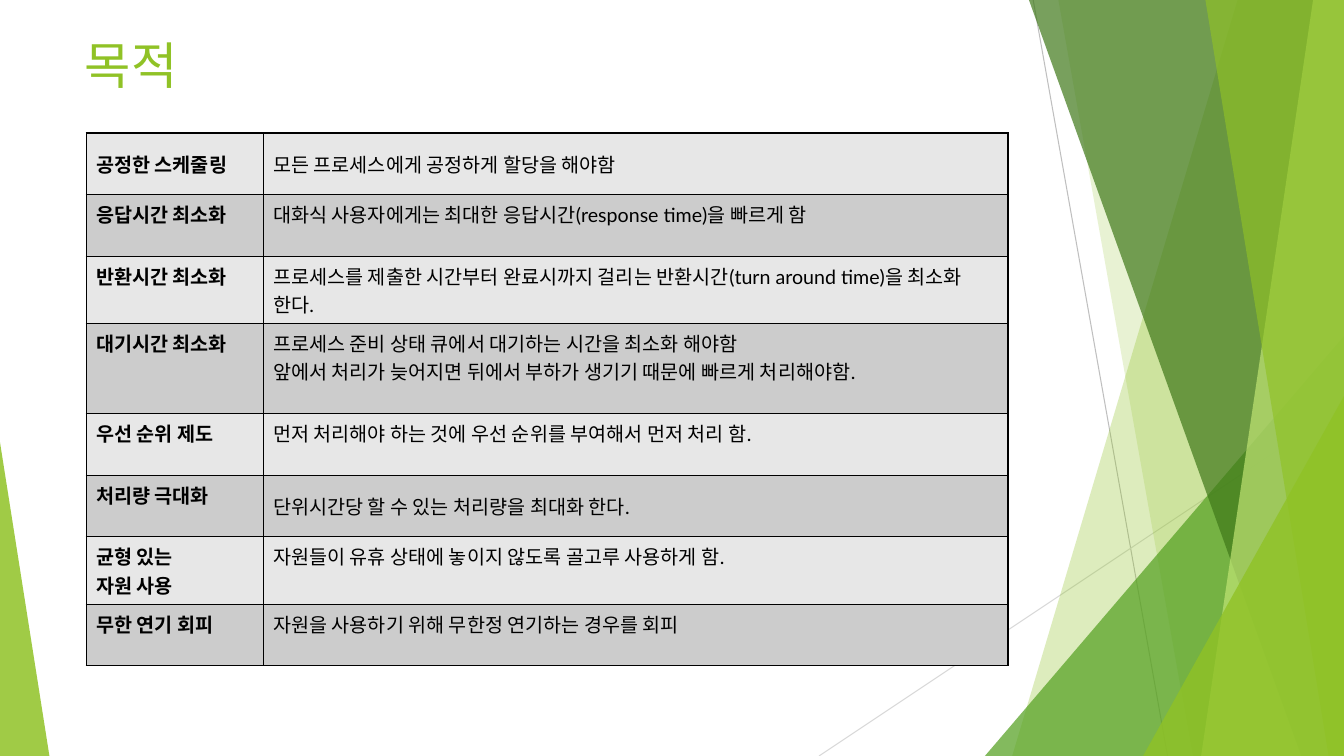
from pptx import Presentation
from pptx.dml.color import RGBColor
from pptx.enum.shapes import MSO_CONNECTOR, MSO_SHAPE
from pptx.enum.text import MSO_ANCHOR, PP_ALIGN
from pptx.oxml import parse_xml
from pptx.oxml.ns import nsdecls, qn
from pptx.util import Pt
from lxml.etree import SubElement

FONT = "Lato"
BLACK = RGBColor(0x00, 0x00, 0x00)
LIME = RGBColor(0x90, 0xC2, 0x26)
GREEN = RGBColor(0x54, 0xA0, 0x21)
DARK_GREEN = RGBColor(0x3F, 0x78, 0x19)
PALE_LIME = RGBColor(0xC0, 0xE4, 0x74)
GRAY = RGBColor(0xBF, 0xBF, 0xBF)
LIGHT_GRAY = RGBColor(0xD9, 0xD9, 0xD9)
BANDS = [RGBColor(0xE7, 0xE7, 0xE7), RGBColor(0xCC, 0xCC, 0xCC)]

W, H = 960, 540
TOP, MIDDLE = MSO_ANCHOR.TOP, MSO_ANCHOR.MIDDLE

TITLE = "목적"
# row height, (goal lines, anchor), (description lines, anchor)
GOALS = [
    (44, (["공정한 스케줄링"], MIDDLE),
     (["모든 프로세스에게 공정하게 할당을 해야함"], MIDDLE)),
    (44, (["응답시간 최소화"], TOP),
     (["대화식 사용자에게는 최대한 응답시간(response time)을 빠르게 함"], TOP)),
    (48, (["반환시간 최소화"], TOP),
     (["프로세스를 제출한 시간부터 완료시까지 걸리는 "
       "반환시간(turn around time)을 최소화 한다."], MIDDLE)),
    (64.5, (["대기시간 최소화"], TOP),
     (["프로세스 준비 상태 큐에서 대기하는 시간을 최소화 해야함",
       "앞에서 처리가 늦어지면 뒤에서 부하가 생기기 때문에 빠르게 처리해야함."], TOP)),
    (44, (["우선 순위 제도"], TOP),
     (["먼저 처리해야 하는 것에 우선 순위를 부여해서 먼저 처리 함."], TOP)),
    (44, (["처리량 극대화"], TOP),
     (["단위시간당 할 수 있는 처리량을 최대화 한다."], MIDDLE)),
    (48, (["균형 있는", "자원 사용"], TOP),
     (["자원들이 유휴 상태에 놓이지 않도록 골고루 사용하게 함."], TOP)),
    (44, (["무한 연기 회피"], TOP),
     (["자원을 사용하기 위해 무한정 연기하는 경우를 회피"], TOP)),
]
COL_WIDTHS = [126.5, 532]

RAYS = [(738, 0, 834, H, GRAY), (W, 290, 585, H, LIGHT_GRAY)]
# back to front: bands give x at top and bottom, triangles give box and apex
FACETS = [
    ("band", (884, 723), LIME, 30),
    ("band", (756, 852), LIME, 20),
    ("triangle", (703.5, 240, 256.5, 300, 1), GREEN, 72),
    ("band", (735, 929.5), DARK_GREEN, 70),
    ("band", (938, 858), PALE_LIME, 70),
    ("band", (861, 949), LIME, 65),
    ("triangle", (816.5, 283, 143.5, 257, 1), LIME, 80),
    ("triangle", (0, 316, 35.3, 224, 0), LIME, 85),
]


def add_ray(s, x1, y1, x2, y2, color):
    ray = s.shapes.add_connector(MSO_CONNECTOR.STRAIGHT, Pt(x1), Pt(y1), Pt(x2), Pt(y2))
    ray.line.color.rgb = color
    ray.line.width = Pt(0.75)
    SubElement(ray._element.spPr, qn("a:effectLst"))


def add_facet(s, kind, geometry, color, opacity):
    if kind == "band":
        x_top, x_bottom = geometry
        builder = s.shapes.build_freeform(Pt(x_top), 0)
        builder.add_line_segments(
            [(Pt(W), 0), (Pt(W), Pt(H)), (Pt(x_bottom), Pt(H))], close=True)
        sp = builder.convert_to_shape()
    else:
        *box, apex = geometry
        sp = s.shapes.add_shape(MSO_SHAPE.ISOSCELES_TRIANGLE, *map(Pt, box))
        sp.adjustments[0] = apex
    sp.shadow.inherit = False
    sp.line.fill.background()
    sp.fill.solid()
    sp.fill.fore_color.rgb = color
    srgb = sp._element.spPr.find(qn("a:solidFill")).find(qn("a:srgbClr"))
    SubElement(srgb, qn("a:alpha"), val=str(opacity * 1000))


def write(tf, lines, size, color, bold=False):
    for i, line in enumerate(lines):
        p = tf.add_paragraph() if i else tf.paragraphs[0]
        p.alignment = PP_ALIGN.LEFT
        r = p.add_run()
        r.text = line
        r.font.name = FONT
        r.font.size = Pt(size)
        r.font.bold = bold
        r.font.color.rgb = color


def add_borders(cell):
    tc_pr = cell._tc.get_or_add_tcPr()
    for side in ("lnL", "lnR", "lnT", "lnB"):
        tc_pr.append(parse_xml(
            f'<a:{side} {nsdecls("a")} w="{Pt(1)}"><a:solidFill>'
            f'<a:srgbClr val="{BLACK}"/></a:solidFill></a:{side}>'))


def add_goal_table(s):
    heights = [goal[0] for goal in GOALS]
    table = s.shapes.add_table(len(GOALS), len(COL_WIDTHS), Pt(61.5), Pt(95),
                               Pt(sum(COL_WIDTHS)), Pt(sum(heights))).table
    table.first_row = table.horz_banding = False
    for column, width in zip(table.columns, COL_WIDTHS):
        column.width = Pt(width)
    for i, (height, *texts) in enumerate(GOALS):
        table.rows[i].height = Pt(height)
        for j, (lines, anchor) in enumerate(texts):
            cell = table.cell(i, j)
            add_borders(cell)
            cell.fill.solid()
            cell.fill.fore_color.rgb = BANDS[i % 2]
            cell.vertical_anchor = anchor
            write(cell.text_frame, lines, 14, BLACK, bold=j == 0)


def main():
    prs = Presentation()
    prs.slide_width, prs.slide_height = Pt(W), Pt(H)
    s = prs.slides.add_slide(prs.slide_layouts[5])

    for ray in RAYS:
        add_ray(s, *ray)
    for facet in FACETS:
        add_facet(s, *facet)

    title = s.shapes.title
    title.left, title.top, title.width, title.height = Pt(53.5), Pt(26), Pt(677), Pt(55.5)
    tf = title.text_frame
    tf.vertical_anchor = TOP
    write(tf, [TITLE], 36, LIME)
    tf.paragraphs[0].line_spacing = 0.9

    add_goal_table(s)
    prs.save("out.pptx")


if __name__ == "__main__":
    main()
